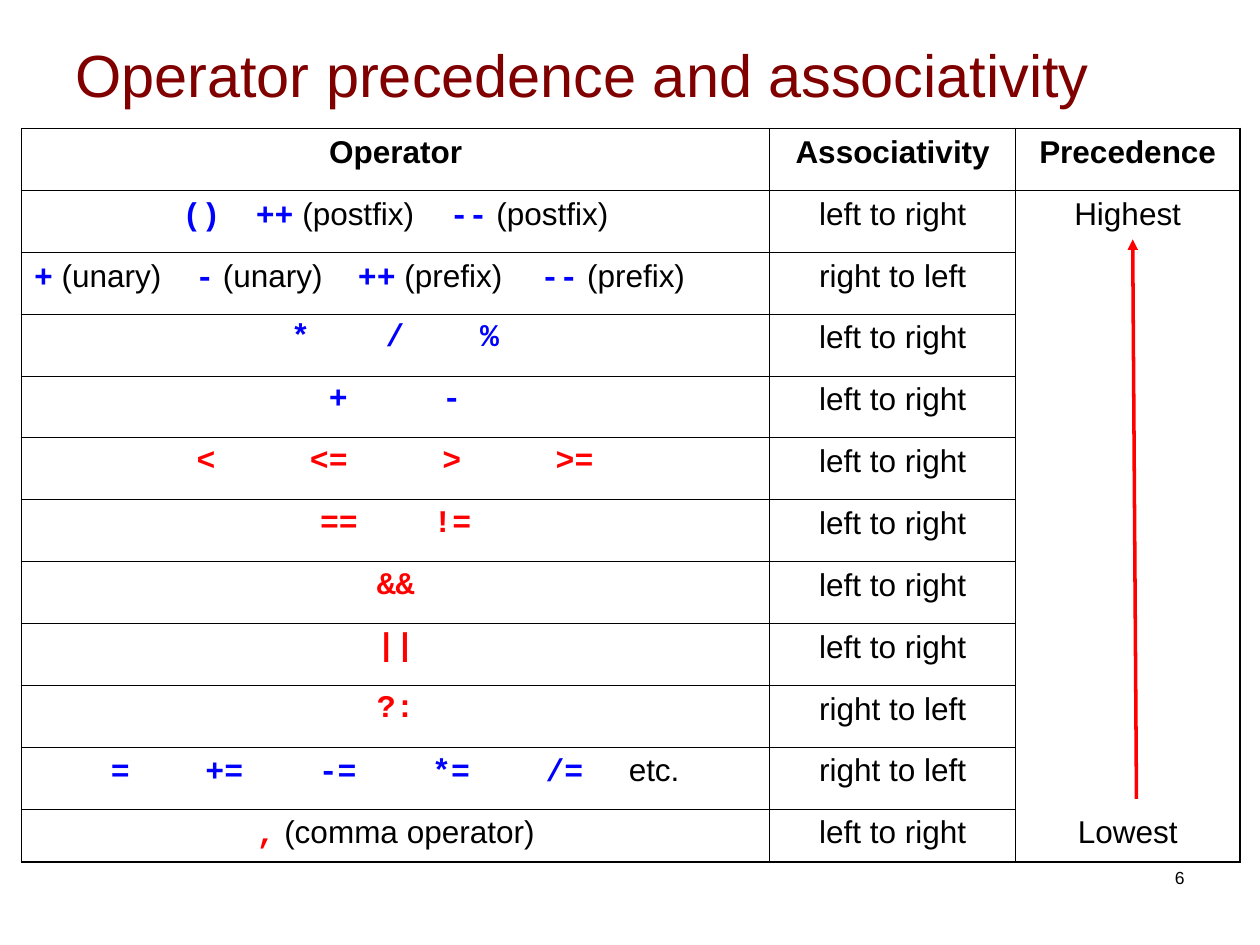
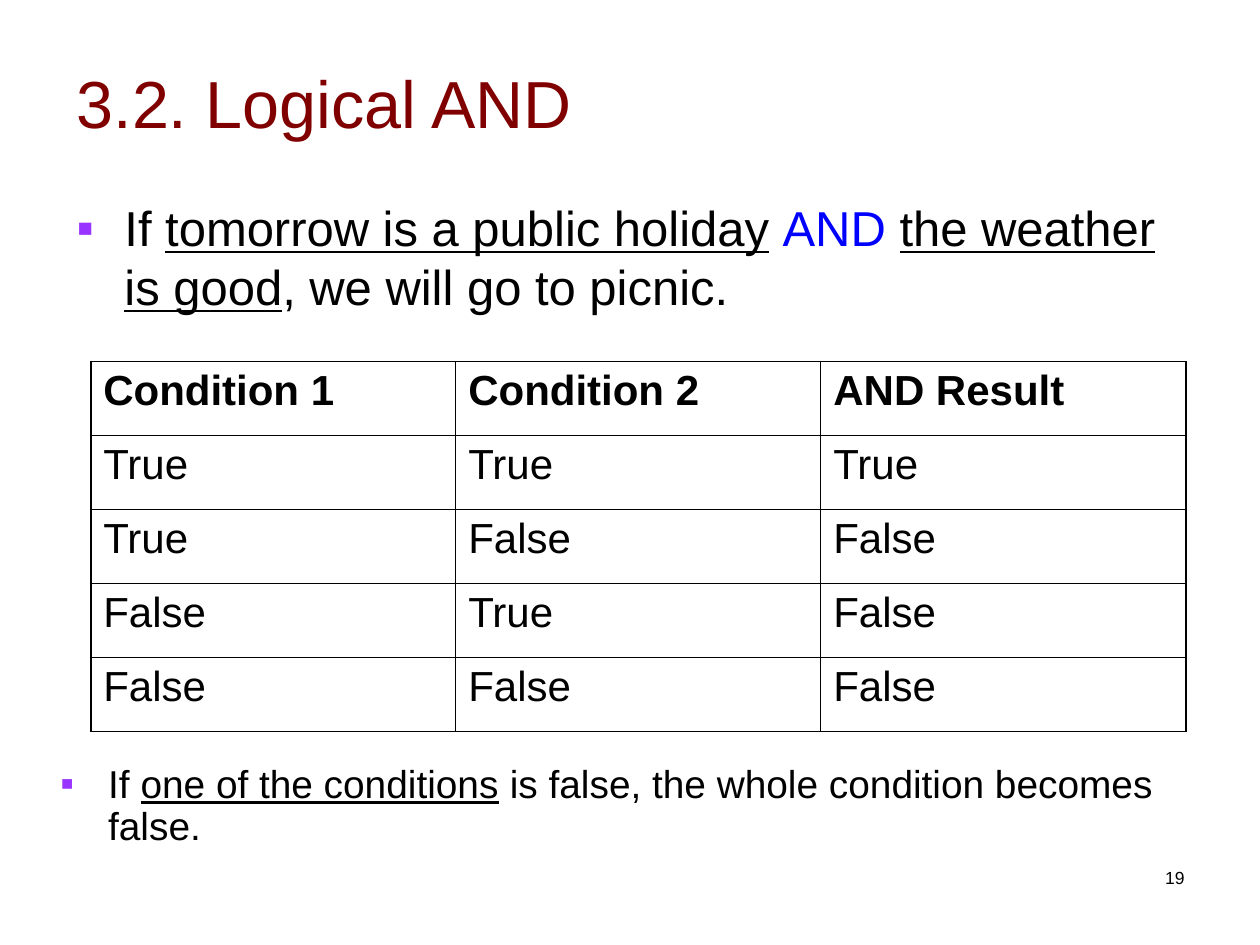
from dataclasses import dataclass, field
from lxml.etree import SubElement
from pptx import Presentation
from pptx.dml.color import RGBColor
from pptx.enum.shapes import MSO_CONNECTOR
from pptx.enum.text import MSO_ANCHOR, PP_ALIGN
from pptx.oxml.ns import qn
from pptx.util import Inches, Pt

WIDE, HIGH = Inches(10), Inches(7.5)
LEFT, MID, RIGHT = PP_ALIGN.LEFT, PP_ALIGN.CENTER, PP_ALIGN.RIGHT


@dataclass
class Theme:
    black: str = "000000"
    white: str = "FFFFFF"
    maroon: str = "800000"
    blue: str = "0000FF"
    red: str = "FF0000"
    purple: str = "9933FF"
    sans: str = "Arial"
    mono: str = "Courier New"
    thin: float = 0.45
    thick: float = 1.08
    sizes: dict = field(default_factory=lambda: {
        "cell": 18, "truth": 24, "body": 28, "note": 22.2, "foot": 10})


T = Theme()
STYLES = {
    "plain": {},
    "head": {"bold": True},
    "title": {"color": T.maroon},
    "under": {"underline": True},
    "word": {"color": T.blue},
    "blue": {"name": T.mono, "bold": True, "color": T.blue},
    "red": {"name": T.mono, "bold": True, "color": T.red},
}


def across(share):
    return round(WIDE * share / 100)


def down(share):
    return round(HIGH * share / 100)


def place(x, y, w, h):
    return across(x), down(y), across(w), down(h)


def assign(target, values):
    for key, value in values.items():
        setattr(target, key, value)


def write(para, runs, size):
    for text, style in runs:
        run = para.add_run()
        run.text = text
        form = {"name": T.sans, "size": Pt(size), "bold": False, "color": T.black}
        form.update(STYLES[style])
        run.font.color.rgb = RGBColor.from_string(form.pop("color"))
        assign(run.font, form)


def add_stops(para, stops):
    tabs = SubElement(para._p.get_or_add_pPr(), qn("a:tabLst"))
    for stop in stops:
        SubElement(tabs, qn("a:tab"), pos=str(Inches(stop)), algn="l")


def add_dot(para):
    props = para._p.get_or_add_pPr()
    props.set("marL", str(Inches(0.38)))
    props.set("indent", str(-Inches(0.38)))
    tint = SubElement(props, qn("a:buClr"))
    SubElement(tint, qn("a:srgbClr"), val=T.purple)
    SubElement(props, qn("a:buFont"), typeface=T.sans)
    SubElement(props, qn("a:buChar"), char="▪")


def add_text(slide, box, runs, size, align=LEFT, anchor=MSO_ANCHOR.TOP,
             dot=False, lead=None):
    frame = slide.shapes.add_textbox(*place(*box)).text_frame
    assign(frame, {"word_wrap": True, "vertical_anchor": anchor})
    para = frame.paragraphs[0]
    assign(para, {"alignment": align, "line_spacing": lead})
    if dot:
        add_dot(para)
    write(para, runs, size)


def add_title(slide, box, text, size):
    add_text(slide, box, [(text, "title")], size, anchor=MSO_ANCHOR.MIDDLE)


def add_foot(slide, number):
    add_text(slide, (71.7, 91.07, 23.3, 6.67), [(number, "plain")],
             T.sizes["foot"], RIGHT)


def add_edge(cell, side, width):
    props = cell._tc.get_or_add_tcPr()
    line = SubElement(props, qn(f"a:ln{side}"), w=str(Pt(width)))
    if width:
        fill = SubElement(line, qn("a:solidFill"))
        SubElement(fill, qn("a:srgbClr"), val=T.black)
    else:
        SubElement(line, qn("a:noFill"))


def add_table(slide, spot, cols, rows, fill=None, open_col=None):
    count, span = len(rows), len(cols)
    box = place(*spot, sum(cols), sum(rows))
    table = slide.shapes.add_table(count, span, *box).table
    assign(table, {"first_row": False, "horz_banding": False})
    for col, share in zip(table.columns, cols):
        col.width = across(share)
    for row, share in zip(table.rows, rows):
        row.height = down(share)
    for r in range(count):
        for c in range(span):
            cell = table.cell(r, c)
            is_open = c == open_col
            top = 0 if is_open and r > 1 else T.thin
            base = 0 if is_open and r > 0 else T.thin
            edges = {
                "L": T.thin if c else T.thick,
                "R": T.thick if c == span - 1 else T.thin,
                "T": top if r else T.thick,
                "B": T.thick if r == count - 1 else base,
            }
            for side, width in edges.items():
                add_edge(cell, side, width)
            if fill:
                cell.fill.solid()
                cell.fill.fore_color.rgb = RGBColor.from_string(fill)
            else:
                cell.fill.background()
    return table


def fill_cell(cell, runs, size, align=LEFT, stops=()):
    para = cell.text_frame.paragraphs[0]
    para.alignment = align
    if stops:
        add_stops(para, stops)
    write(para, runs, size)


def add_arrow(slide, start, end):
    line = slide.shapes.add_connector(
        MSO_CONNECTOR.STRAIGHT, across(start[0]), down(start[1]),
        across(end[0]), down(end[1]))
    line.line.color.rgb = RGBColor.from_string(T.red)
    line.line.width = Pt(2)
    SubElement(line.line._get_or_add_ln(), qn("a:tailEnd"), type="triangle")
    SubElement(line._element.spPr, qn("a:effectLst"))


def signs(style, *marks):
    return [("\t" + "\t".join(marks), style)]


RANKS = [
    ([("\t()\t++", "blue"), (" (postfix)\t", "plain"), ("--", "blue"),
      (" (postfix)", "plain")], "left", (1.18, 1.76, 3.3)),
    ([("+", "blue"), (" (unary)\t", "plain"), ("-", "blue"),
      (" (unary)\t", "plain"), ("++", "blue"), (" (prefix)\t", "plain"),
      ("--", "blue"), (" (prefix)", "plain")], "right", (1.28, 2.57, 4.02)),
    (signs("blue", "*", "/", "%"), "left", (2.04, 2.79, 3.54)),
    (signs("blue", "+", "-"), "left", (2.34, 3.24)),
    (signs("red", "<", "<=", ">", ">="), "left", (1.29, 2.19, 3.24, 4.14)),
    (signs("red", "==", "!="), "left", (2.27, 3.17)),
    ([("&&", "red")], "left", ()),
    ([("||", "red")], "left", ()),
    ([("?:", "red")], "right", ()),
    (signs("blue", "=", "+=", "-=", "*=", "/=") + [("\tetc.", "plain")],
     "right", (0.61, 1.36, 2.26, 3.16, 4.06, 4.72)),
    ([(",", "red"), (" (comma operator)", "plain")], "left", ()),
]


def rank_slide(slide):
    size = T.sizes["cell"]
    add_title(slide, (5, 2.27, 90, 11.07),
              "Operator precedence and associativity", 34)
    table = add_table(slide, (1.7, 13.6), (59.4, 19.5, 17.8),
                      [6.55] * 11 + [5.6], T.white, 2)
    table.cell(2, 2).merge(table.cell(4, 2))
    for c, name in enumerate(("Operator", "Associativity", "Precedence")):
        fill_cell(table.cell(0, c), [(name, "head")], size, MID)
    for r, (runs, side, stops) in enumerate(RANKS, 1):
        fill_cell(table.cell(r, 0), runs, size, LEFT if stops else MID, stops)
        other = "right" if side == "left" else "left"
        fill_cell(table.cell(r, 1), [(f"{side} to {other}", "plain")], size, MID)
    for r, name in ((1, "Highest"), (len(RANKS), "Lowest")):
        fill_cell(table.cell(r, 2), [(name, "plain")], size, MID)
    add_arrow(slide, (90.2, 84.53), (89.9, 25.33))
    add_foot(slide, "6")


def truth_slide(slide):
    add_title(slide, (5.1, 2.4, 90, 16.67), "3.2. Logical AND", 38)
    add_text(slide, (5.1, 20.27, 90, 16.93), [
        ("If ", "plain"), ("tomorrow is a public holiday", "under"),
        (" ", "plain"), ("AND ", "word"), ("the weather is good", "under"),
        (", we will go to picnic.", "plain")], T.sizes["body"], dot=True)
    table = add_table(slide, (7.2, 38.27), [28.97] * 3, [7.83] * 5)
    for c, name in enumerate(("Condition 1", "Condition 2", "AND Result")):
        fill_cell(table.cell(0, c), [(name, "head")], T.sizes["truth"])
    pairs = [(a, b) for a in (True, False) for b in (True, False)]
    for r, (one, two) in enumerate(pairs, 1):
        for c, value in enumerate((one, two, one and two)):
            fill_cell(table.cell(r, c), [(str(value), "plain")],
                      T.sizes["truth"])
    add_text(slide, (3.8, 80.27, 93.2, 11.73), [
        ("If ", "plain"), ("one of the conditions", "under"),
        (" is false, the whole condition becomes false.", "plain")],
        T.sizes["note"], dot=True, lead=0.9)
    add_foot(slide, "19")


def main():
    deck = Presentation()
    assign(deck, {"slide_width": WIDE, "slide_height": HIGH})
    for build in (rank_slide, truth_slide):
        build(deck.slides.add_slide(deck.slide_layouts[6]))
    deck.save("out.pptx")


if __name__ == "__main__":
    main()
